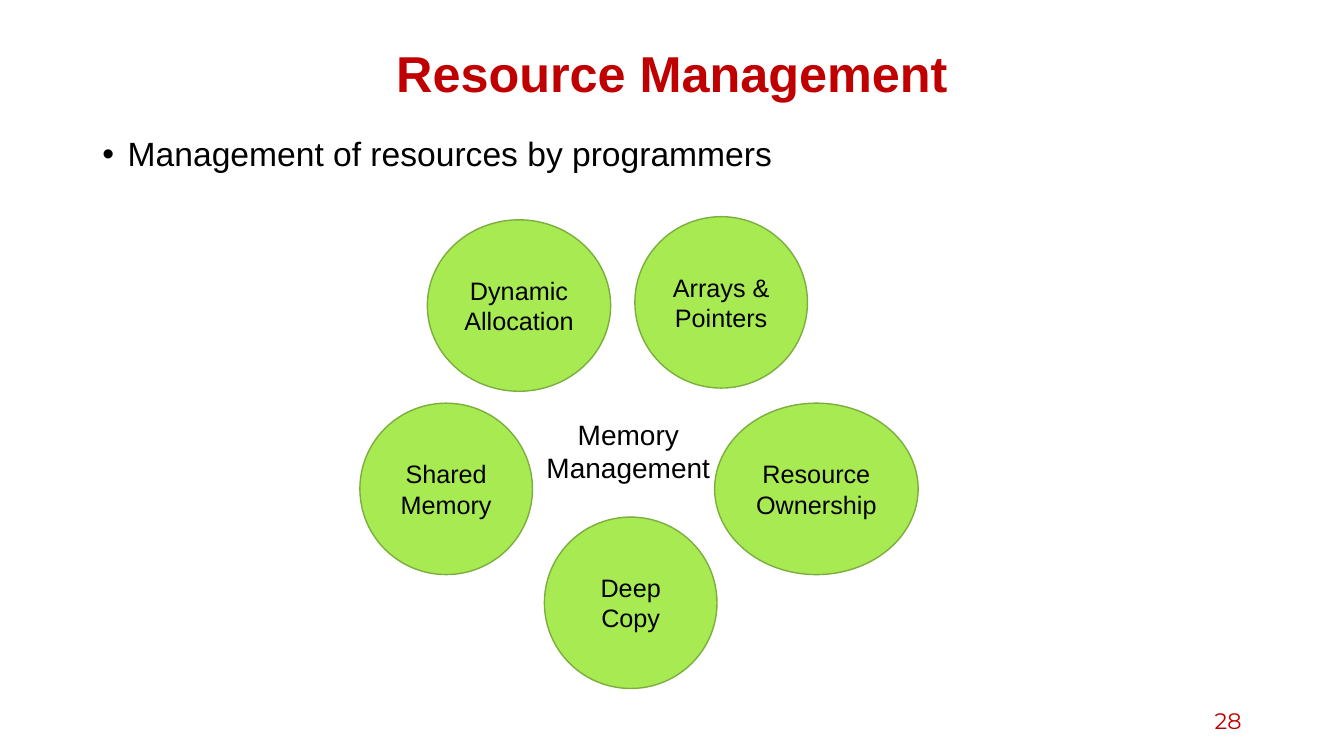
from dataclasses import dataclass

from lxml import etree
from pptx import Presentation
from pptx.dml.color import RGBColor
from pptx.enum.shapes import MSO_SHAPE
from pptx.enum.text import MSO_ANCHOR, PP_ALIGN
from pptx.oxml.ns import qn
from pptx.slide import Slide
from pptx.text.text import TextFrame
from pptx.util import Cm, Pt

ELLIPSE = MSO_SHAPE.OVAL
TOP, MIDDLE = MSO_ANCHOR.TOP, MSO_ANCHOR.MIDDLE
LEFT, CENTER, RIGHT = PP_ALIGN.LEFT, PP_ALIGN.CENTER, PP_ALIGN.RIGHT
TITLE_ONLY = 5


@dataclass(frozen=True)
class Theme:
    accent: RGBColor = RGBColor(0xC0, 0x00, 0x00)
    text: RGBColor = RGBColor(0x00, 0x00, 0x00)
    fill: RGBColor = RGBColor(0xA7, 0xEA, 0x52)
    outline: RGBColor = RGBColor(0x7C, 0xAD, 0x3D)
    font: str = "Arial"
    number_font: str = "Montserrat"
    title_size: int = 36
    body_size: int = 24
    center_size: int = 20
    topic_size: int = 18
    number_size: int = 16


@dataclass(frozen=True)
class Box:
    left: float
    top: float
    width: float
    height: float

    def lengths(self) -> tuple[Cm, Cm, Cm, Cm]:
        return Cm(self.left), Cm(self.top), Cm(self.width), Cm(self.height)


@dataclass(frozen=True)
class TextStyle:
    size: int
    color: RGBColor
    font: str
    align: PP_ALIGN = CENTER
    anchor: MSO_ANCHOR = MIDDLE
    bold: bool = False
    spacing: float = 1.0


@dataclass(frozen=True)
class Topic:
    label: str
    left: float
    top: float
    width: float = 4.35


THEME = Theme()
TITLE_STYLE = TextStyle(THEME.title_size, THEME.accent, THEME.font, bold=True, spacing=0.9)
BODY_STYLE = TextStyle(THEME.body_size, THEME.text, THEME.font, LEFT, TOP, spacing=0.9)
TOPIC_STYLE = TextStyle(THEME.topic_size, THEME.text, THEME.font)
CENTER_STYLE = TextStyle(THEME.center_size, THEME.text, THEME.font, anchor=TOP)
NUMBER_STYLE = TextStyle(THEME.number_size, THEME.accent, THEME.number_font, RIGHT)

TOPIC_HEIGHT = 4.32
TOPICS = (
    Topic("Shared Memory", 9.07, 10.16),
    Topic("Dynamic Allocation", 10.77, 5.54, 4.62),
    Topic("Arrays & Pointers", 16, 5.46),
    Topic("Resource Ownership", 18.01, 10.16, 5.13),
    Topic("Deep Copy", 13.72, 13.03),
)


def write_text(tf: TextFrame, lines: list[str], style: TextStyle) -> None:
    tf.word_wrap = True
    tf.vertical_anchor = style.anchor
    for i, line in enumerate(lines):
        p = tf.paragraphs[0] if i == 0 else tf.add_paragraph()
        p.alignment = style.align
        p.line_spacing = style.spacing
        r = p.add_run()
        r.text = line
        r.font.name = style.font
        r.font.size = Pt(style.size)
        r.font.bold = style.bold
        r.font.color.rgb = style.color


def add_text(s: Slide, box: Box, lines: list[str], style: TextStyle) -> TextFrame:
    tf = s.shapes.add_textbox(*box.lengths()).text_frame
    write_text(tf, lines, style)
    return tf


def add_bullet(tf: TextFrame) -> None:
    indent = Cm(0.64)
    for p in tf.paragraphs:
        p_pr = p._p.get_or_add_pPr()
        p_pr.set("marL", str(indent))
        p_pr.set("indent", str(-indent))
        etree.SubElement(p_pr, qn("a:buFont")).set("typeface", THEME.font)
        etree.SubElement(p_pr, qn("a:buChar")).set("char", "•")


def add_topic(s: Slide, topic: Topic) -> None:
    box = Box(topic.left, topic.top, topic.width, TOPIC_HEIGHT)
    sp = s.shapes.add_shape(ELLIPSE, *box.lengths())
    sp.shadow.inherit = False
    sp.fill.solid()
    sp.fill.fore_color.rgb = THEME.fill
    sp.line.color.rgb = THEME.outline
    sp.line.width = Pt(1)
    tf = sp.text_frame
    tf.margin_left = tf.margin_right = Cm(0.1)
    write_text(tf, [topic.label], TOPIC_STYLE)


def main() -> None:
    prs = Presentation()
    prs.slide_width, prs.slide_height = Cm(33.87), Cm(19.05)
    s = prs.slides.add_slide(prs.slide_layouts[TITLE_ONLY])

    # Title
    title = s.shapes.title
    title.left, title.top, title.width, title.height = Box(2.33, 1.02, 29.21, 1.78).lengths()
    write_text(title.text_frame, ["Resource Management"], TITLE_STYLE)

    # Body and slide number
    body = add_text(s, Box(2.33, 3.35, 29.21, 14), ["Management of resources by programmers"], BODY_STYLE)
    add_bullet(body)
    add_text(s, Box(23.92, 17.65, 7.62, 1.02), ["28"], NUMBER_STYLE)

    # Ring of topics around the central label
    for topic in TOPICS:
        add_topic(s, topic)
    add_text(s, Box(13.36, 10.39, 4.95, 1.96), ["Memory", "Management"], CENTER_STYLE)

    prs.save("out.pptx")


if __name__ == "__main__":
    main()
